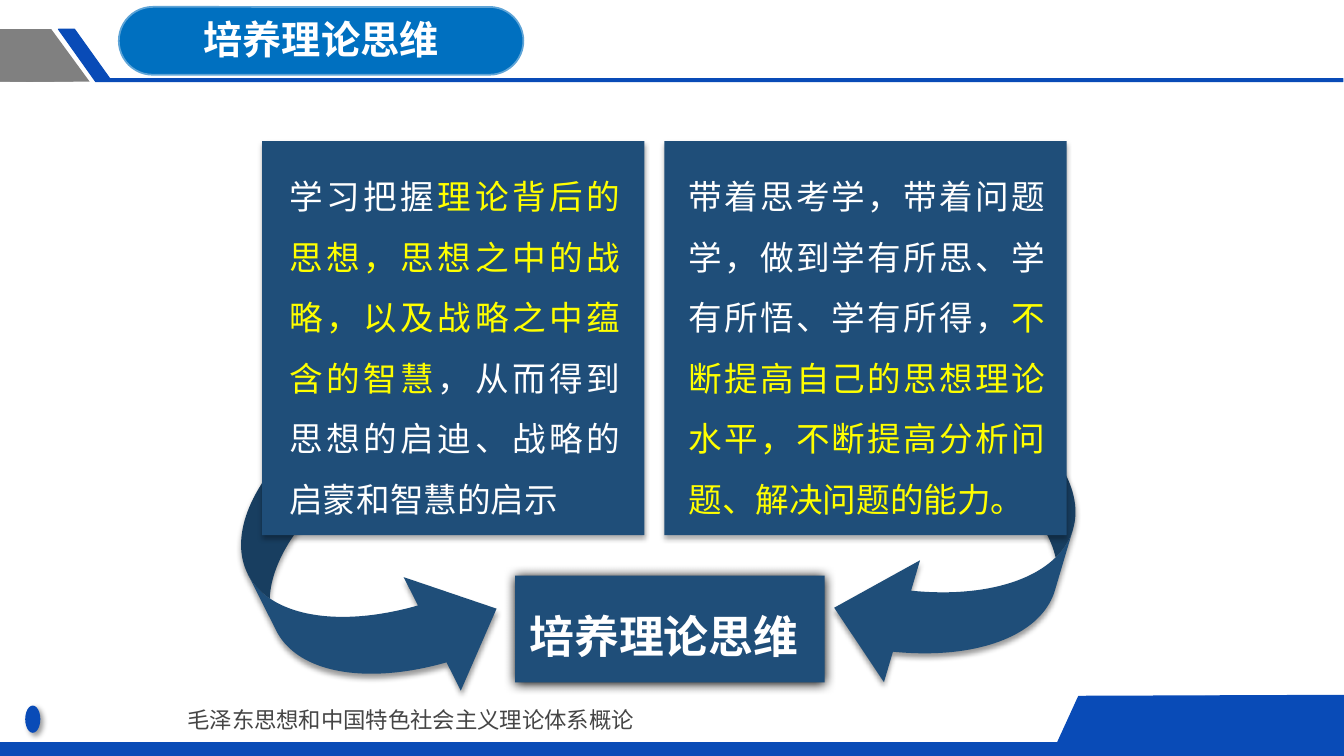
"""Build the slide on cultivating theoretical thinking."""
from lxml.etree import SubElement
from pptx import Presentation
from pptx.dml.color import RGBColor
from pptx.enum.shapes import MSO_SHAPE
from pptx.enum.text import MSO_ANCHOR, PP_ALIGN
from pptx.oxml.ns import qn
from pptx.util import Inches, Pt

FONT = "Noto Sans CJK SC"
COLORS = {
    "gray": "808080",
    "blue": "094BB7",
    "sky": "0070C0",
    "navy": "1F4E79",
    "white": "FFFFFF",
    "yellow": "FFFF00",
    "footer": "454545",
    "black": "000000",
}


def add_text(box, text, size, color="white", bold=False, align=PP_ALIGN.LEFT,
             anchor=MSO_ANCHOR.TOP, spacing=None, wrap=True):
    """Write text, given as a string or as (string, color) spans, into a box."""
    frame = box.text_frame
    frame.word_wrap = wrap
    frame.vertical_anchor = anchor
    para = frame.paragraphs[0]
    para.alignment = align
    para.line_spacing = spacing
    spans = [(text, color)] if isinstance(text, str) else text
    for words, span_color in spans:
        span = para.add_run()
        span.text = words
        span.font.size = Pt(size)
        span.font.bold = bold
        span.font.name = FONT
        span.font.color.rgb = RGBColor.from_string(COLORS[span_color])
        SubElement(span._r.get_or_add_rPr(), qn("a:ea"), typeface=FONT)


def style_shape(shape, fill, line=None, width=1, shadow=None):
    """Set fill, line and an optional (alpha, blur, distance, degrees) shadow."""
    shape.fill.solid()
    shape.fill.fore_color.rgb = RGBColor.from_string(COLORS[fill])
    if line:
        shape.line.color.rgb = RGBColor.from_string(COLORS[line])
        shape.line.width = Pt(width)
    else:
        shape.line.fill.background()
    shape.shadow.inherit = False
    if shadow:
        alpha, blur, distance, degrees = shadow
        effects = shape._element.spPr.find(qn("a:effectLst"))
        outer = SubElement(effects, qn("a:outerShdw"), blurRad=str(Pt(blur)),
                           dist=str(Pt(distance)), dir=str(degrees * 60000),
                           rotWithShape="0")
        tint = SubElement(outer, qn("a:srgbClr"), val=COLORS["black"])
        SubElement(tint, qn("a:alpha"), val=str(alpha * 1000))


deck = Presentation()
deck.slide_width, deck.slide_height = Inches(13.33), Inches(7.5)
page = deck.slides.add_slide(deck.slide_layouts[6])
shapes = page.shapes

outlines = []
for left in [0.26, -0.3, -0.09, 0.1]:
    header_flag = [(left, 0.29), (left + 0.25, 0.29), (left + 0.63, 0.81), (left, 0.81)]
    outlines.append((header_flag, "gray", None, 0))
header_rule = [(1.12, 0.81), (0.95, 0.81), (0.58, 0.29), (0.74, 0.29),
               (1.09, 0.78), (13.32, 0.78), (13.32, 0.81)]
footer_corner = [(13.33, 7.5), (13.33, 6.9), (10.7, 6.91), (10.43, 7.5)]
outlines += [(header_rule, "blue", "blue", 0.75), (footer_corner, "blue", "blue", 1)]
for points, fill, line, width in outlines:
    corners = [(Inches(x), Inches(y)) for x, y in points]
    builder = shapes.build_freeform(*corners[0])
    builder.add_line_segments(corners[1:], close=True)
    style_shape(builder.convert_to_shape(), fill, line, width)

footer_bar = shapes.add_shape(MSO_SHAPE.FLOWCHART_PROCESS, Inches(0), Inches(7.37),
                              Inches(13.33), Inches(0.13))
style_shape(footer_bar, "blue", "blue")
footer = shapes.add_textbox(Inches(1.76), Inches(6.96), Inches(7.59), Inches(0.37))
add_text(footer, "毛泽东思想和中国特色社会主义理论体系概论", 16, color="footer")
emblem = shapes.add_shape(MSO_SHAPE.OVAL, Inches(0.25), Inches(7), Inches(0.15), Inches(0.27))
style_shape(emblem, "blue", shadow=(40, 4, 3, 45))

for left, top, rotation, flipped in [(2.56, 4.08, 333.3, False), (8.5, 3.84, 16.5, True)]:
    arrow = shapes.add_shape(MSO_SHAPE.CURVED_RIGHT_ARROW, Inches(left), Inches(top),
                             Inches(2.05), Inches(3.15))
    for index, value in enumerate([0.308, 0.615, 0.333]):
        arrow.adjustments[index] = value
    arrow.rotation = rotation
    if flipped:
        arrow._element.spPr.find(qn("a:xfrm")).set("flipH", "1")
    style_shape(arrow, "navy", shadow=(40, 4, 3, 90))

goal = shapes.add_shape(MSO_SHAPE.RECTANGLE, Inches(5.11), Inches(5.71),
                        Inches(3.07), Inches(1.06))
style_shape(goal, "navy", shadow=(100, 8.5, 1, 90))
goal_label = shapes.add_shape(MSO_SHAPE.RECTANGLE, Inches(5.14), Inches(5.99),
                              Inches(2.89), Inches(0.64))
style_shape(goal_label, "navy")
add_text(goal_label, "培养理论思维", 32, bold=True, align=PP_ALIGN.CENTER, wrap=False)

question_spans = [
    ("带着思考学，带着问题学，做到学有所思、学有所悟、学有所得，", "white"),
    ("不断提高自己的思想理论水平，不断提高分析问题、解决问题的能力。", "yellow"),
]
wisdom_spans = [
    ("学习把握", "white"),
    ("理论背后的思想，思想之中的战略，以及战略之中蕴含的智慧", "yellow"),
    ("，从而得到思想的启迪、战略的启蒙和智慧的启示", "white"),
]
for left, width, text_left, text_width, spans in [(6.59, 3.99, 6.73, 3.73, question_spans),
                                                  (2.6, 3.79, 2.77, 3.48, wisdom_spans)]:
    panel = shapes.add_shape(MSO_SHAPE.RECTANGLE, Inches(left), Inches(1.4),
                             Inches(width), Inches(3.91))
    style_shape(panel, "navy", shadow=(32, 3.5, 2.2, 90))
    panel_text = shapes.add_shape(MSO_SHAPE.RECTANGLE, Inches(text_left), Inches(1.5),
                                  Inches(text_width), Inches(3.66))
    style_shape(panel_text, "navy")
    add_text(panel_text, spans, 24, align=PP_ALIGN.JUSTIFY, spacing=1.5)

title = shapes.add_shape(MSO_SHAPE.ROUNDED_RECTANGLE, Inches(1.17), Inches(0.06),
                         Inches(4.03), Inches(0.69))
title.adjustments[0] = 0.5
style_shape(title, "sky", "white", 2.5)
line_color = title._element.spPr.find(qn("a:ln")).find(".//" + qn("a:srgbClr"))
SubElement(line_color, qn("a:alpha"), val="37000")
title_frame = title.text_frame
title_frame.margin_left = title_frame.margin_right = title_frame.margin_top = 0
title_frame.margin_bottom = Inches(0.04)
add_text(title, "培养理论思维", 28, bold=True, align=PP_ALIGN.CENTER, anchor=MSO_ANCHOR.MIDDLE)

deck.save("out.pptx")
